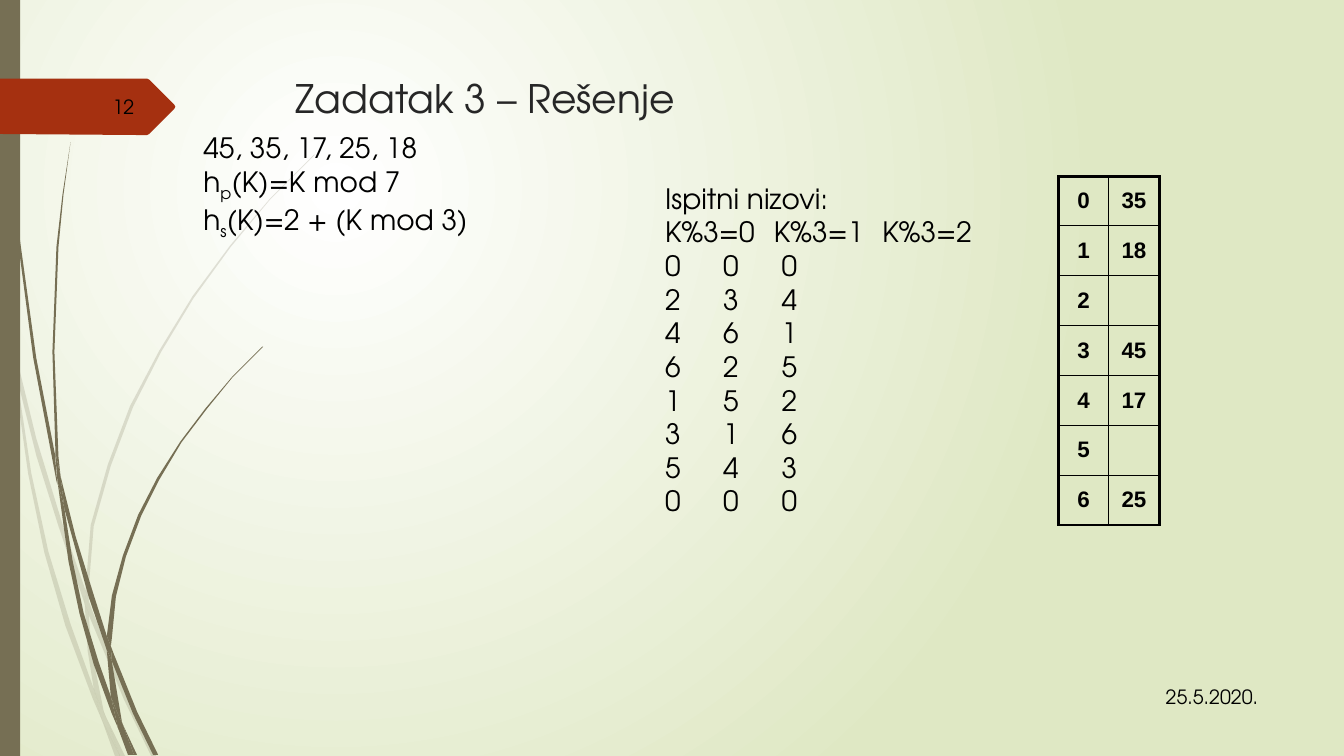
import pptx
import pptx.util
import pptx.dml.color
import pptx.enum.shapes
import pptx.enum.text
import pptx.oxml

Pt = pptx.util.Pt
SHAPE = pptx.enum.shapes.MSO_SHAPE
ALIGN = pptx.enum.text.PP_ALIGN
ANCHOR = pptx.enum.text.MSO_ANCHOR
NS = 'xmlns:a="http://schemas.openxmlformats.org/drawingml/2006/main"'
FONT = "TeX Gyre Adventor"
OLIVE, RED, BLACK, DARK = "766F54", "A53010", "000000", "262626"
WIDTH, HEIGHT = 960, 540
GRASS_UNIT = 0.72

TITLE = "Zadatak 3 – Rešenje"
PAGE, DATE = "12", "25.5.2020."
KEYS = "45, 35, 17, 25, 18"
HASHES = [("h", "p", "(K)=K mod 7"), ("h", "s", "(K)=2 + (K mod 3)")]
PROBES_TITLE = "Ispitni nizovi:"
PROBES_HEAD = ["K%3=0", "K%3=1", "K%3=2"]
PROBES = [(0, 0, 0), (2, 3, 4), (4, 6, 1), (6, 2, 5),
          (1, 5, 2), (3, 1, 6), (5, 4, 3), (0, 0, 0)]
HEAD_TABS, PROBE_TABS = (77.7, 155.2), (41.5, 83.2)
SLOTS = [35, 18, "", 45, 17, "", 25]
ROW_HEIGHTS = [35.3, 35.8] + [35.6] * 5

PALE_GRASS = [
    [(11, 350), (9, 322), (0, 282), (0, 299), (10, 344)],
    [(58, 522), (84, 599), (85, 586), (62, 520), (36, 435), (14, 345), (17, 376), (36, 452)],
    [(92, 607), (88, 596), (88, 610), (123, 694), (150, 750), (155, 750), (127, 692)],
    [(119, 750), (124, 750), (105, 711)],
    [(93, 683), (70, 619), (48, 547), (31, 469), (17, 376), (11, 350), (28, 470), (44, 548),
     (65, 621), (92, 693), (101, 714), (99, 707)],
    [(84, 599), (87, 646), (93, 683), (96, 692), (105, 711), (103, 706), (91, 646), (88, 610), (88, 608)],
    [(88, 584), (93, 522), (110, 462), (132, 404), (160, 349), (192, 296), (229, 245), (268, 198),
     (312, 154), (312, 153), (268, 197), (228, 244), (191, 294), (158, 348), (129, 403), (107, 461),
     (90, 521), (85, 584), (85, 586), (88, 596)],
    [(101, 714), (114, 750), (119, 750)],
    [(88, 608), (88, 610), (88, 596), (85, 586), (84, 599)],
    [(96, 692), (93, 683), (99, 707), (101, 714), (119, 750), (105, 711)],
]
DARK_GRASS = [
    [(7, 110), (17, 233), (33, 355), (56, 477), (57, 481), (55, 457), (55, 453), (36, 355),
     (19, 232), (8, 109), (5, 48), (4, 0), (3, 0), (4, 48)],
    [(88, 592), (106, 645), (106, 631), (93, 590), (75, 532), (60, 472), (64, 505)],
    [(113, 649), (110, 641), (111, 656), (132, 708), (152, 749), (157, 749), (136, 706)],
    [(110, 691), (98, 657), (83, 608), (72, 556), (64, 505), (57, 477), (68, 557), (79, 609),
     (93, 659), (111, 708), (117, 722), (116, 717)],
    [(60, 472), (58, 453), (54, 349), (58, 245), (63, 193), (70, 141), (62, 193), (56, 245),
     (52, 349), (55, 449)],
    [(133, 749), (136, 749), (122, 719)],
    [(57, 477), (64, 505), (60, 472), (55, 449), (55, 453)],
    [(111, 633), (115, 592), (125, 552), (140, 512), (158, 476), (180, 439), (205, 406), (231, 374),
     (261, 344), (260, 344), (231, 373), (204, 405), (179, 438), (156, 474), (137, 511), (122, 551),
     (111, 591), (106, 631), (110, 641)],
    [(117, 722), (127, 749), (131, 749)],
    [(106, 645), (110, 691), (116, 706), (122, 719), (121, 716), (111, 656), (109, 651)],
    [(106, 645), (109, 651), (111, 656), (110, 641), (106, 631)],
    [(116, 706), (110, 691), (116, 717), (117, 722), (130, 749), (133, 749), (122, 719)],
]
TAG = [(173, 108), (148, 133), (146, 134), (136, 134), (0, 133), (0, 78), (146, 78),
       (148, 79), (173, 104), (174, 106)]


def rgb(color):
    return pptx.dml.color.RGBColor.from_string(color)


def paint(shape, color, alpha=None):
    shape.shadow.inherit = False
    shape.fill.solid()
    shape.fill.fore_color.rgb = rgb(color)
    shape.line.fill.background()
    if alpha:
        clr = shape.fill._xPr.find(".//{*}srgbClr")
        clr.append(pptx.oxml.parse_xml(f'<a:alpha {NS} val="{alpha * 1000}"/>'))


def add_outline(points, color, alpha=None):
    corners = [(Pt(x * GRASS_UNIT), Pt(y * GRASS_UNIT)) for x, y in points]
    builder = s.shapes.build_freeform(*corners[0])
    builder.add_line_segments(corners[1:], close=True)
    paint(builder.convert_to_shape(), color, alpha)


def add_run(p, text, size=20, color=BLACK, name=FONT, bold=False, base=None):
    r = p.add_run()
    r.text = str(text)
    for key, value in {"size": Pt(size), "name": name, "bold": bold}.items():
        setattr(r.font, key, value)
    r.font.color.rgb = rgb(color)
    if base:
        r.font._element.set("baseline", str(base * 1000))


def add_text(box, paragraphs, wrap=True, anchor=ANCHOR.TOP, align=ALIGN.LEFT, size=20):
    tf = s.shapes.add_textbox(*map(Pt, box)).text_frame
    for key, value in {"word_wrap": wrap, "vertical_anchor": anchor}.items():
        setattr(tf, key, value)
    for i, (runs, tabs) in enumerate(paragraphs):
        p = tf.paragraphs[0] if i == 0 else tf.add_paragraph()
        p.alignment = align
        for text, base in runs:
            add_run(p, text, size, base=base)
        if tabs:
            stops = "".join(f'<a:tab pos="{Pt(t)}" algn="l"/>' for t in tabs)
            p._p.get_or_add_pPr().append(pptx.oxml.parse_xml(f"<a:tabLst {NS}>{stops}</a:tabLst>"))


def add_border(cell, side, width):
    cell._tc.get_or_add_tcPr().append(pptx.oxml.parse_xml(
        f'<a:ln{side} {NS} w="{Pt(width)}"><a:solidFill><a:srgbClr val="{BLACK}"/>'
        f"</a:solidFill></a:ln{side}>"))


prs = pptx.Presentation()
prs.slide_width, prs.slide_height = Pt(WIDTH), Pt(HEIGHT)
s = prs.slides.add_slide(prs.slide_layouts[5])

fill = s.background.fill
fill.gradient()
for stop, color, position in zip(fill.gradient_stops, ("FFFFFF", "DFE8C4"), (0, 1)):
    stop.color.rgb, stop.position = rgb(color), position
lin = s.background._cSld.find(".//{*}lin")
lin.getparent().replace(lin, pptx.oxml.parse_xml(
    f'<a:path {NS} path="circle"><a:fillToRect l="50000" t="50000" r="100000" b="100000"/></a:path>'))

for blades, alpha in ((PALE_GRASS, 20), (DARK_GRASS, None)):
    for blade in blades:
        add_outline(blade, OLIVE, alpha)
paint(s.shapes.add_shape(SHAPE.RECTANGLE, 0, 0, Pt(14.4), Pt(HEIGHT)), OLIVE)
add_outline(TAG, RED)

title = s.shapes.title
for key, value in zip(("left", "top", "width", "height"), (204.2, 49.4, 702, 100.8)):
    setattr(title, key, Pt(value))
tf = title.text_frame
for key, value in {"word_wrap": True, "vertical_anchor": ANCHOR.TOP,
                   "auto_size": pptx.enum.text.MSO_AUTO_SIZE.NONE}.items():
    setattr(tf, key, value)
tf.paragraphs[0].alignment = ALIGN.LEFT
add_run(tf.paragraphs[0], TITLE, 28, DARK)

for text, box in ((DATE, (815.8, 482.8, 90, 29.5)), (PAGE, (41.8, 62, 61.2, 28.8))):
    add_text(box, [([(text, None)], None)], anchor=ANCHOR.MIDDLE, align=ALIGN.RIGHT, size=14)

add_text((138.2, 90, 293.8, 104.4),
         [([(KEYS, None)], None)]
         + [([(h, None), (sub, -25), (rest, None)], None) for h, sub, rest in HASHES])

rows = [(PROBES_HEAD, HEAD_TABS)] + [(row, PROBE_TABS) for row in PROBES]
add_text((468, 126, 234.7, 247),
         [([(PROBES_TITLE, None)], None)]
         + [([("\t".join(map(str, row)), None)], tabs) for row, tabs in rows], wrap=False)

table = s.shapes.add_table(len(SLOTS), 2, Pt(756), Pt(126), Pt(72), Pt(sum(ROW_HEIGHTS))).table
table.first_row = table.horz_banding = False
for i, (slot, height) in enumerate(zip(SLOTS, ROW_HEIGHTS)):
    table.rows[i].height = Pt(height)
    for j, value in enumerate((i, slot)):
        cell = table.cell(i, j)
        outer = {"L": j == 0, "R": j == 1, "T": i == 0, "B": i == len(SLOTS) - 1}
        for side, is_outer in outer.items():
            add_border(cell, side, 2.25 if is_outer else 1)
        cell.fill.background()
        cell.vertical_anchor = ANCHOR.MIDDLE
        p = cell.text_frame.paragraphs[0]
        p.alignment = ALIGN.CENTER
        if value != "":
            add_run(p, value, 16, name="Arial", bold=True)

prs.save("out.pptx")
